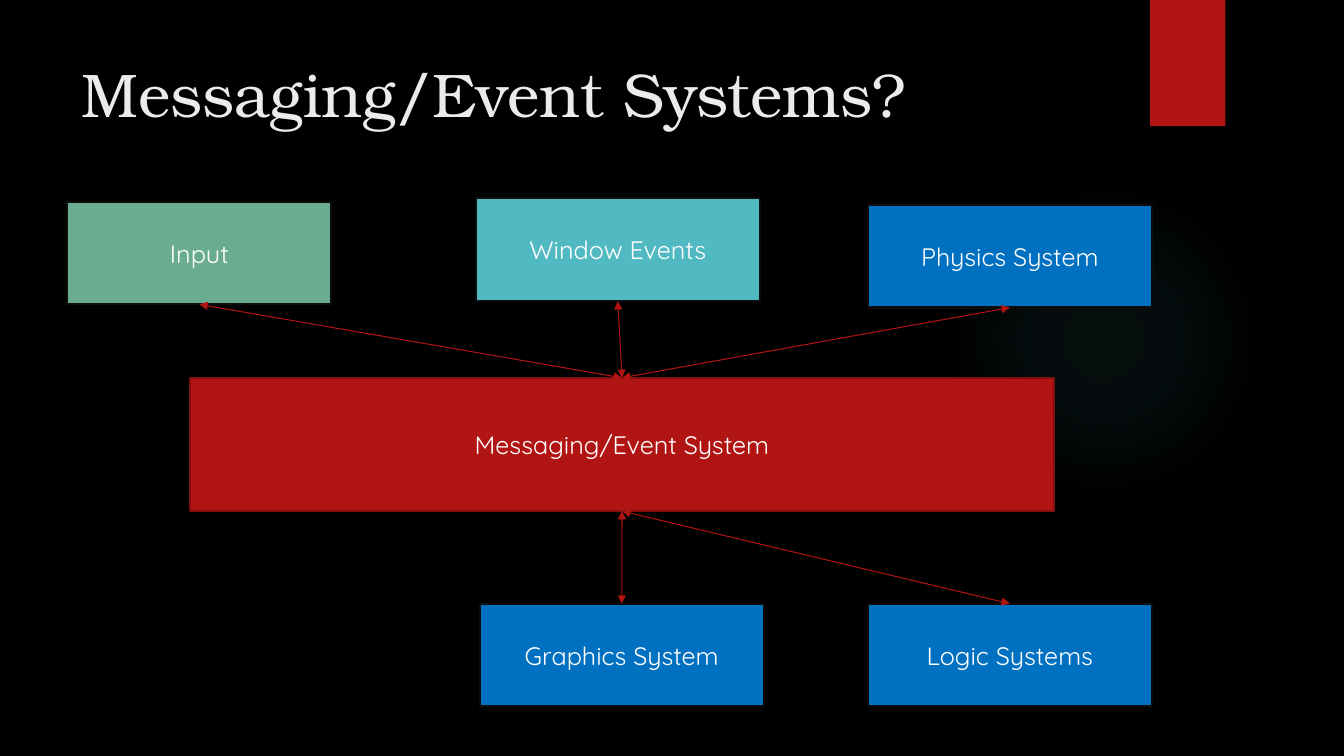
from lxml import etree
from pptx import Presentation
from pptx import util as u
from pptx.dml.color import RGBColor
from pptx.enum import shapes, text
from pptx.oxml import parse_xml
from pptx.oxml.ns import qn

NS = "http://schemas.openxmlformats.org/drawingml/2006/main"
TOP, BOTTOM = 0, 2
RED, BLUE, TEAL, GREEN = "B01513", "0070C0", "50B9C1", "6AAC90"
EDGE = "0D0D0D"


def tint(color, value):
    color.rgb = RGBColor.from_string(value)


class Deck:
    head_font = "TeX Gyre Bonum"
    body_font = "Quicksand"

    def __init__(self, wide, high):
        self.prs = Presentation()
        self.prs.slide_width = u.Cm(wide)
        self.prs.slide_height = u.Cm(high)
        self.slide = self.prs.slides.add_slide(self.prs.slide_layouts[5])
        back = self.slide.background.fill
        back.solid()
        tint(back.fore_color, "000000")

    def style(self, para, font, size, color):
        for run in para.runs:
            run.font.name = font
            run.font.size = u.Pt(size)
            tint(run.font.color, color)

    def title(self, words, left, top, wide, high):
        box = self.slide.shapes.title
        box.left, box.top = u.Cm(left), u.Cm(top)
        box.width, box.height = u.Cm(wide), u.Cm(high)
        frame = box.text_frame
        frame.text = words
        frame.auto_size = text.MSO_AUTO_SIZE.NONE
        frame.vertical_anchor = text.MSO_ANCHOR.TOP
        para = frame.paragraphs[0]
        para.alignment = text.PP_ALIGN.LEFT
        self.style(para, self.head_font, 44, "EBEBEB")

    def shape(self, kind, left, top, wide, high, fill):
        item = self.slide.shapes.add_shape(
            kind, u.Cm(left), u.Cm(top), u.Cm(wide), u.Cm(high))
        item.shadow.inherit = False
        item.fill.solid()
        tint(item.fill.fore_color, fill)
        item.line.fill.background()
        return item

    def glow(self, left, top, size, color, stops):
        item = self.shape(shapes.MSO_SHAPE.OVAL, left, top, size, size, color)
        marks = "".join(
            f'<a:gs pos="{pos * 1000}"><a:srgbClr val="{color}">'
            f'<a:alpha val="{alpha * 1000}"/></a:srgbClr></a:gs>'
            for pos, alpha in stops)
        grad = parse_xml(
            f'<a:gradFill xmlns:a="{NS}" rotWithShape="1"><a:gsLst>{marks}</a:gsLst>'
            '<a:path path="circle"><a:fillToRect l="50000" t="50000" '
            'r="50000" b="50000"/></a:path></a:gradFill>')
        props = item.element.spPr
        props.replace(props.find(qn("a:solidFill")), grad)

    def box(self, words, left, top, wide, high, fill, edge=EDGE):
        item = self.shape(shapes.MSO_SHAPE.RECTANGLE, left, top, wide, high, fill)
        tint(item.line.color, edge)
        item.line.width = u.Pt(1.5)
        frame = item.text_frame
        frame.text = words
        frame.word_wrap = True
        frame.vertical_anchor = text.MSO_ANCHOR.MIDDLE
        para = frame.paragraphs[0]
        para.alignment = text.PP_ALIGN.CENTER
        self.style(para, self.body_font, 18, "FFFFFF")
        return item

    def link(self, start, start_site, end, end_site):
        wire = self.slide.shapes.add_connector(
            shapes.MSO_CONNECTOR.STRAIGHT, 0, 0, 0, 0)
        wire.begin_connect(start, start_site)
        wire.end_connect(end, end_site)
        tint(wire.line.color, RED)
        wire.line.width = u.Pt(0.75)
        line = wire.line._get_or_add_ln()
        for tag in ("a:headEnd", "a:tailEnd"):
            etree.SubElement(line, qn(tag)).set("type", "triangle")
        etree.SubElement(wire.element.spPr, qn("a:effectLst"))


def main():
    deck = Deck(33.87, 19.05)
    deck.glow(23.9, 4.65, 7.82, TEAL, [(0, 7), (36, 6), (69, 0)])
    deck.shape(shapes.MSO_SHAPE.RECTANGLE, 28.98, 0, 1.9, 3.18, RED)
    deck.title("Messaging/Event Systems?", 1.8, 1.27, 26.14, 3.89)

    hub = deck.box("Messaging/Event System", 4.78, 9.52, 21.79, 3.36, RED, "82100E")
    wide, high, right, low = 7.16, 2.59, 21.87, 15.21
    above = [
        ("Input", 1.7, 5.08, 6.65, high, GREEN),
        ("Window Events", 11.99, 5, wide, high, TEAL),
        ("Physics System", right, 5.16, wide, high, BLUE),
    ]
    below = [
        ("Graphics System", 12.09, low, wide, high, BLUE),
        ("Logic Systems", right, low, wide, high, BLUE),
    ]
    inputs = [deck.box(*part) for part in above]
    outputs = [deck.box(*part) for part in below]
    for part in inputs:
        deck.link(part, BOTTOM, hub, TOP)
    for part in outputs:
        deck.link(hub, BOTTOM, part, TOP)

    deck.prs.save("out.pptx")


if __name__ == "__main__":
    main()
